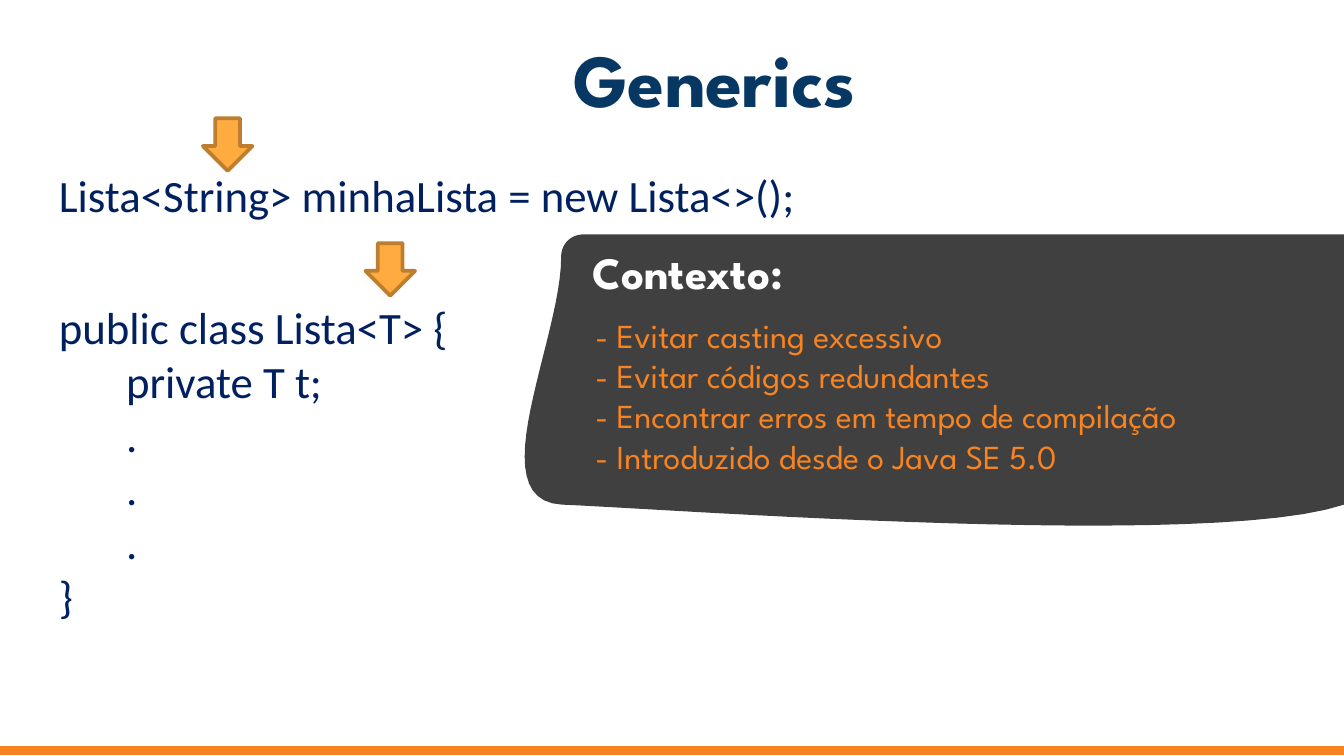
from dataclasses import dataclass

from lxml import etree
from pptx import Presentation
from pptx.dml.color import RGBColor
from pptx.enum.shapes import MSO_SHAPE
from pptx.enum.text import MSO_ANCHOR, MSO_AUTO_SIZE, PP_ALIGN
from pptx.oxml.ns import qn
from pptx.util import Pt

RECTANGLE = MSO_SHAPE.RECTANGLE
DOWN_ARROW = MSO_SHAPE.DOWN_ARROW
MIDDLE = MSO_ANCHOR.MIDDLE
TOP = MSO_ANCHOR.TOP
FIXED = MSO_AUTO_SIZE.NONE
CENTER = PP_ALIGN.CENTER
LEFT = PP_ALIGN.LEFT
CURVE_STEPS = 24

Point = tuple[float, float]


@dataclass(frozen=True)
class Theme:
    heading_font: str = "League Spartan"
    code_font: str = "Calibri"
    title_color: str = "073763"
    code_color: str = "002060"
    accent: str = "F78321"
    panel: str = "404040"
    white: str = "FFFFFF"
    arrow: str = "FFAB40"
    arrow_line: str = "BD7F2F"
    title_size: float = 40
    large_size: float = 24
    list_size: float = 18


@dataclass(frozen=True)
class Box:
    left: float
    top: float
    width: float
    height: float


@dataclass(frozen=True)
class TextStyle:
    font: str
    size: float
    color: str
    bold: bool = False
    align: PP_ALIGN = LEFT
    tab_stop: float = 0


THEME = Theme()
TITLE = TextStyle(THEME.heading_font, THEME.title_size, THEME.title_color, True, CENTER)
CODE = TextStyle(THEME.code_font, THEME.large_size, THEME.code_color, tab_stop=72)
HEADING = TextStyle(THEME.heading_font, THEME.large_size, THEME.white, True)
LIST = TextStyle(THEME.heading_font, THEME.list_size, THEME.accent)

CODE_BLOCKS = [
    (Box(24.5, 86.4, 414, 36), ["Lista<String> minhaLista = new Lista<>();"]),
    (
        Box(24.5, 157, 225.4, 181.4),
        ["public class Lista<T> {", "\tprivate T t;", "\t.", "\t.", "\t.", "}"],
    ),
]
CONTEXT_ITEMS = [
    "- Evitar casting excessivo",
    "- Evitar códigos redundantes",
    "- Encontrar erros em tempo de compilação",
    "- Introduzido desde o Java SE 5.0",
]
ARROWS = [Box(108.7, 63.4, 26.6, 28.1), Box(195.8, 130.3, 26.6, 28.1)]
PANEL_START = (720, 126)
PANEL_CORNER = (312.5, 126)
PANEL_CURVES = [
    ((306, 126), (301, 131), (301, 137.5)),
    ((301, 182.2), (257, 267.8), (301, 270)),
    ((366.5, 272.9), (650.2, 293.8), (720, 270)),
]


def place(shape, box: Box) -> None:
    shape.left, shape.top = Pt(box.left), Pt(box.top)
    shape.width, shape.height = Pt(box.width), Pt(box.height)


def paint(shape, fill: str, line: str, line_width: float) -> None:
    shape.shadow.inherit = False
    shape.fill.solid()
    shape.fill.fore_color.rgb = RGBColor.from_string(fill)
    shape.line.color.rgb = RGBColor.from_string(line)
    shape.line.width = Pt(line_width)


def write(shape, lines: list[str], style: TextStyle) -> None:
    frame = shape.text_frame
    for index, line in enumerate(lines):
        para = frame.add_paragraph() if index else frame.paragraphs[0]
        para.text = line
        para.alignment = style.align
        para.space_before = Pt(0)
        properties = para._p.get_or_add_pPr()
        properties.set("marL", "0")
        properties.set("indent", "0")
        etree.SubElement(properties, qn("a:buNone"))
        if style.tab_stop:
            tabs = etree.SubElement(properties, qn("a:tabLst"))
            etree.SubElement(tabs, qn("a:tab"), pos=str(Pt(style.tab_stop)), algn="l")
        para.font.name = style.font
        para.font.size = Pt(style.size)
        para.font.bold = style.bold
        para.font.color.rgb = RGBColor.from_string(style.color)


def fill_placeholder(
    shape, box: Box, lines: list[str], style: TextStyle, anchor: MSO_ANCHOR
) -> None:
    place(shape, box)
    frame = shape.text_frame
    frame.auto_size = FIXED
    frame.word_wrap = True
    frame.vertical_anchor = anchor
    write(shape, lines, style)


def add_text(slide, box: Box, lines: list[str], style: TextStyle) -> None:
    shape = slide.shapes.add_textbox(0, 0, 0, 0)
    place(shape, box)
    shape.text_frame.word_wrap = False
    write(shape, lines, style)


def add_block(
    slide, kind: MSO_SHAPE, box: Box, fill: str, line: str, line_width: float
) -> None:
    shape = slide.shapes.add_shape(kind, 0, 0, 0, 0)
    place(shape, box)
    paint(shape, fill, line, line_width)


def curve_points(start: Point, first: Point, second: Point, end: Point) -> list[Point]:
    points = []
    for step in range(1, CURVE_STEPS + 1):
        t = step / CURVE_STEPS
        u = 1 - t
        weights = (u**3, 3 * u * u * t, 3 * u * t * t, t**3)
        corners = (start, first, second, end)
        x, y = (sum(w * c[axis] for w, c in zip(weights, corners)) for axis in (0, 1))
        points.append((x, y))
    return points


def add_panel(slide) -> None:
    outline = [PANEL_CORNER]
    for curve in PANEL_CURVES:
        outline += curve_points(outline[-1], *curve)
    builder = slide.shapes.build_freeform(Pt(PANEL_START[0]), Pt(PANEL_START[1]))
    builder.add_line_segments([(Pt(x), Pt(y)) for x, y in outline], close=True)
    paint(builder.convert_to_shape(), THEME.panel, THEME.panel, 0.75)


def main() -> None:
    deck = Presentation()
    deck.slide_width, deck.slide_height = Pt(720), Pt(405)
    slide = deck.slides.add_slide(deck.slide_layouts[1])
    title, body = slide.placeholders
    fill_placeholder(title, Box(110.2, 18, 545, 46.8), ["Generics"], TITLE, MIDDLE)
    add_block(slide, RECTANGLE, Box(0, 399.8, 720, 4.5), THEME.accent, THEME.accent, 0.75)
    for box, lines in CODE_BLOCKS:
        add_text(slide, box, lines, CODE)
    for box in ARROWS:
        add_block(slide, DOWN_ARROW, box, THEME.arrow, THEME.arrow_line, 2)
    add_panel(slide)
    add_text(slide, Box(310.3, 127.4, 129.6, 36), ["Contexto:"], HEADING)
    fill_placeholder(body, Box(311.8, 164.9, 401, 94.3), CONTEXT_ITEMS, LIST, TOP)
    slide.shapes.element.append(body.element)
    deck.save("out.pptx")


if __name__ == "__main__":
    main()
